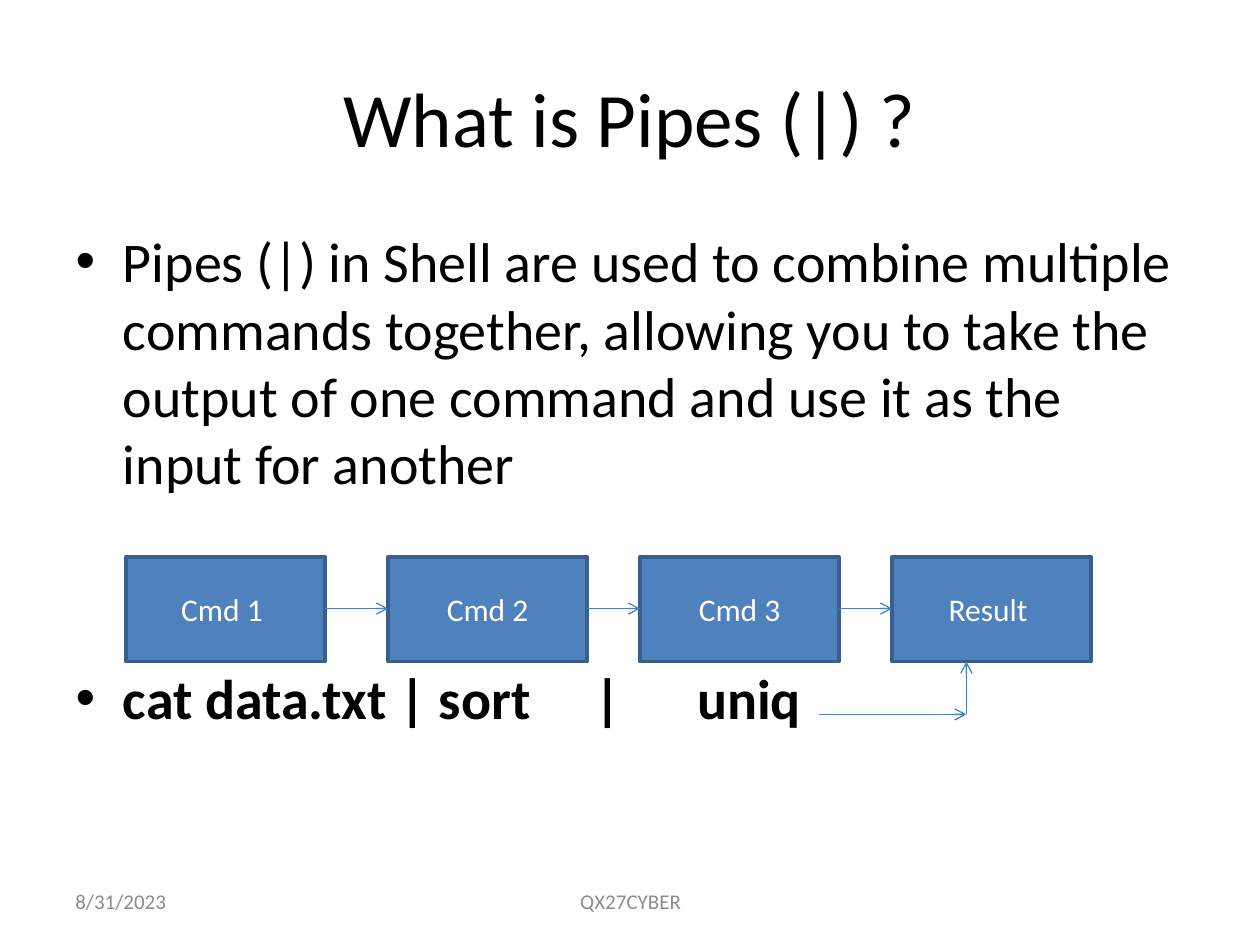
from itertools import pairwise

from lxml import etree
from pptx import Presentation
from pptx.dml.color import RGBColor
from pptx.enum import shapes, text
from pptx.oxml import ns
from pptx.util import Inches, Pt

FONT = "Calibri"
BOX_TOP, BOX_WIDTH, BOX_HEIGHT = 4.42, 1.58, 0.83
STAGES = [("Cmd 1 ", 1), ("Cmd 2", 3.08), ("Cmd 3", 5.08), ("Result ", 7.08)]
PIPELINE = [("cat data.txt | sort", 0), (" ", 29), ("|", 0), (" ", 36), ("uniq", 0)]


def color(value):
    """Turn a hex string into a colour."""
    return RGBColor.from_string(value)


def style(paragraph, size, value, bold=False):
    """Format every run of a paragraph."""
    for run in paragraph.runs:
        run.font.name = FONT
        run.font.size = Pt(size)
        run.font.bold = bold
        run.font.color.rgb = color(value)


def place(element, left, top, width, height):
    """Move and size an element, in inches."""
    element.left, element.top = Inches(left), Inches(top)
    element.width, element.height = Inches(width), Inches(height)


def fill_title(slide, wording):
    """Write the slide title."""
    title = slide.shapes.title
    place(title, 0.5, 0.3, 9, 1.25)
    title.text_frame.text = wording
    style(title.text_frame.paragraphs[0], 44, "000000")


def fill_body(slide, definition):
    """Write the definition and, below the diagram, the sample pipeline."""
    body = slide.placeholders[1]
    place(body, 0.5, 1.75, 9, 4.95)
    body.text_frame.text = definition
    style(body.text_frame.paragraphs[0], 32, "000000")
    sample = body.text_frame.add_paragraph()
    sample.space_before = Pt(96)
    for wording, _ in PIPELINE:
        sample.add_run().text = wording
    style(sample, 32, "000000", bold=True)
    for run, (_, gap) in zip(sample.runs, PIPELINE):
        if gap:
            run.font._element.set("spc", str(gap * 100))


def add_footer(slide, wording, left, width, align):
    """Add a small grey text at the foot of the slide."""
    footer = slide.shapes.add_textbox(Inches(left), Inches(6.95), Inches(width), Inches(0.4))
    frame = footer.text_frame
    frame.word_wrap = True
    frame.vertical_anchor = text.MSO_ANCHOR.MIDDLE
    frame.text = wording
    frame.paragraphs[0].alignment = align
    style(frame.paragraphs[0], 12, "8C8C8C")


def add_stage(slide, wording, left):
    """Add one box of the pipeline."""
    stage = slide.shapes.add_shape(
        shapes.MSO_SHAPE.RECTANGLE,
        Inches(left), Inches(BOX_TOP), Inches(BOX_WIDTH), Inches(BOX_HEIGHT))
    stage.shadow.inherit = False
    stage.fill.solid()
    stage.fill.fore_color.rgb = color("4F81BD")
    stage.line.color.rgb = color("3A5F8C")
    stage.line.width = Pt(2)
    frame = stage.text_frame
    frame.vertical_anchor = text.MSO_ANCHOR.MIDDLE
    frame.text = wording
    frame.paragraphs[0].alignment = text.PP_ALIGN.CENTER
    style(frame.paragraphs[0], 18, "FFFFFF")


def add_arrow(slide, start, end):
    """Add a thin straight arrow between two points."""
    arrow = slide.shapes.add_connector(
        shapes.MSO_CONNECTOR.STRAIGHT, *map(Inches, start + end))
    arrow.line.color.rgb = color("4B7EBC")
    arrow.line.width = Pt(0.75)
    properties = arrow._element.spPr
    line = properties.find(ns.qn("a:ln"))
    etree.SubElement(line, ns.qn("a:tailEnd"), type="arrow")
    etree.SubElement(properties, ns.qn("a:effectLst"))


def main():
    """Build and save the slide."""
    deck = Presentation()
    deck.slide_width, deck.slide_height = Inches(10), Inches(7.5)
    slide = deck.slides.add_slide(deck.slide_layouts[1])
    fill_title(slide, "What is Pipes (|) ?")
    fill_body(slide, "Pipes (|) in Shell are used to combine multiple commands "
                     "together, allowing you to take the output of one command "
                     "and use it as the input for another")
    add_footer(slide, "8/31/2023", 0.5, 2.33, text.PP_ALIGN.LEFT)
    add_footer(slide, "QX27CYBER", 3.42, 3.17, text.PP_ALIGN.CENTER)
    for wording, left in STAGES:
        add_stage(slide, wording, left)
    for (_, left), (_, following) in pairwise(STAGES):
        add_arrow(slide, (left + BOX_WIDTH, 4.83), (following, 4.83))
    corner = (7.67, 5.67)
    add_arrow(slide, (6.5, 5.67), corner)
    add_arrow(slide, corner, (7.67, BOX_TOP + BOX_HEIGHT))
    deck.save("out.pptx")


if __name__ == "__main__":
    main()
